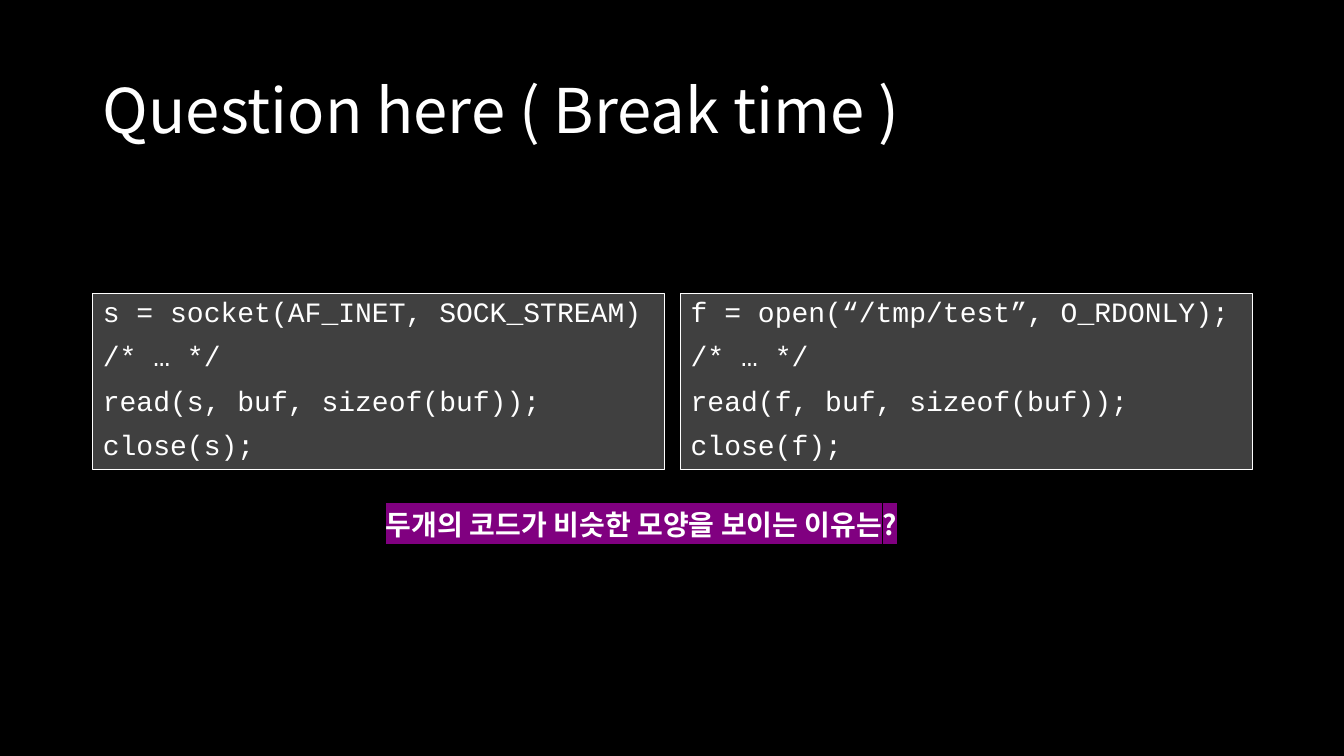
import pptx
import pptx.dml.color
import pptx.enum.text
import pptx.oxml
import pptx.oxml.ns
import pptx.util

Inches = pptx.util.Inches
COLORS = {"background": "000000", "text": "FFFFFF", "code": "404040", "highlight": "800080"}
SANS, MONO = "Noto Sans CJK KR", "Courier New"


def rgb(name):
    return pptx.dml.color.RGBColor.from_string(COLORS[name])


def add_element(tag, **attributes):
    element = pptx.oxml.parse_xml(f"<a:{tag} {pptx.oxml.ns.nsdecls('a')}/>")
    for key, value in attributes.items():
        element.set(key, value)
    return element


def write(paragraph, text, font=SANS, size=20, bold=False, highlight=None,
          line_spacing=None, space_before=0):
    """Fill one left-aligned paragraph without a bullet."""
    paragraph.alignment = pptx.enum.text.PP_ALIGN.LEFT
    paragraph.space_before = pptx.util.Pt(space_before)
    if line_spacing:
        paragraph.line_spacing = line_spacing
    properties = paragraph._p.get_or_add_pPr()
    properties.set("marL", "0")
    properties.set("indent", "0")
    properties.append(add_element("buNone"))

    run = paragraph.add_run()
    run.text = text
    run.font.name = font
    run.font.size = pptx.util.Pt(size)
    run.font.bold = bold
    run.font.color.rgb = rgb("text")
    latin = run._r.rPr.find(pptx.oxml.ns.qn("a:latin"))
    latin.addnext(add_element("ea", typeface=font))
    if highlight:
        mark = add_element("highlight")
        mark.append(add_element("srgbClr", val=COLORS[highlight]))
        latin.addprevious(mark)


class QuestionSlide:
    def __init__(self, deck):
        two_content = deck.slide_layouts[3]
        self.slide = deck.slides.add_slide(two_content)
        self.slide.background.fill.solid()
        self.slide.background.fill.fore_color.rgb = rgb("background")

    def place(self, shape, left, top, width, height):
        shape.left, shape.top = Inches(left), Inches(top)
        shape.width, shape.height = Inches(width), Inches(height)

    def title(self, text, box):
        heading = self.slide.shapes.title
        self.place(heading, *box)
        frame = heading.text_frame
        frame.auto_size = pptx.enum.text.MSO_AUTO_SIZE.NONE
        frame.vertical_anchor = pptx.enum.text.MSO_ANCHOR.MIDDLE
        write(frame.paragraphs[0], text, size=44, line_spacing=0.9)

    def code(self, index, lines, box):
        listing = self.slide.placeholders[index]
        self.place(listing, *box)
        listing.fill.solid()
        listing.fill.fore_color.rgb = rgb("code")
        listing.line.color.rgb = rgb("text")
        listing.line.width = pptx.util.Pt(0.75)
        frame = listing.text_frame
        frame.auto_size = pptx.enum.text.MSO_AUTO_SIZE.NONE
        frame.vertical_anchor = pptx.enum.text.MSO_ANCHOR.TOP
        for number, line in enumerate(lines):
            paragraph = frame.add_paragraph() if number else frame.paragraphs[0]
            write(paragraph, line, font=MONO, line_spacing=0.9, space_before=10)

    def question(self, text, box):
        frame = self.slide.shapes.add_textbox(*map(Inches, box)).text_frame
        frame.word_wrap = False
        frame.auto_size = pptx.enum.text.MSO_AUTO_SIZE.SHAPE_TO_FIT_TEXT
        write(frame.paragraphs[0], text, bold=True, highlight="highlight")


def main():
    deck = pptx.Presentation()
    deck.slide_width, deck.slide_height = Inches(13.33), Inches(7.5)
    page = QuestionSlide(deck)

    # Heading
    page.title("Question here ( Break time )", (0.92, 0.4, 11.5, 1.45))

    # Socket and file code side by side
    openings = [("s", "socket(AF_INET, SOCK_STREAM)"),
                ("f", "open(“/tmp/test”, O_RDONLY);")]
    for column, (handle, opening) in enumerate(openings):
        lines = [f"{handle} = {opening}", "/* … */",
                 f"read({handle}, buf, sizeof(buf));", f"close({handle});"]
        page.code(column + 1, lines, (0.92 + column * 5.83, 2.91, 5.67, 1.75))

    # Question to the audience
    page.question("두개의 코드가 비슷한 모양을 보이는 이유는?", (3.73, 4.99, 5.87, 0.44))

    deck.save("out.pptx")


if __name__ == "__main__":
    main()
